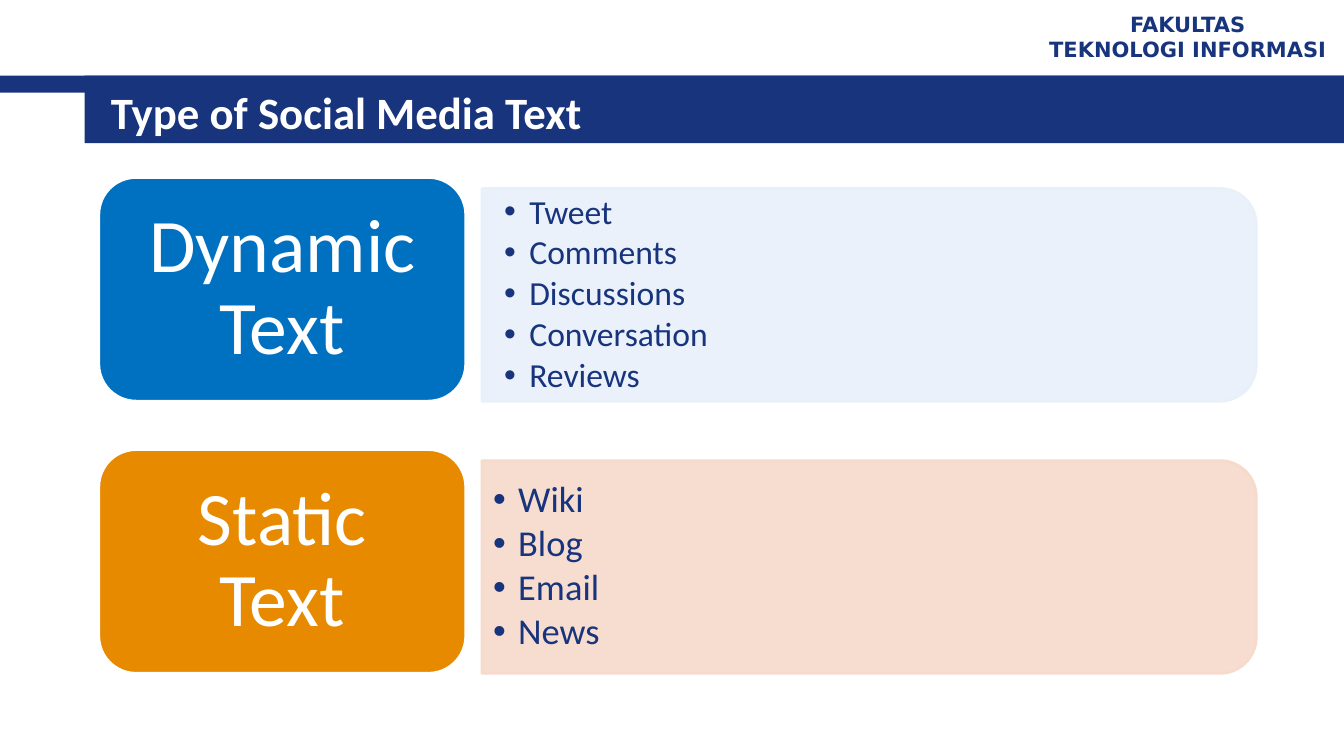
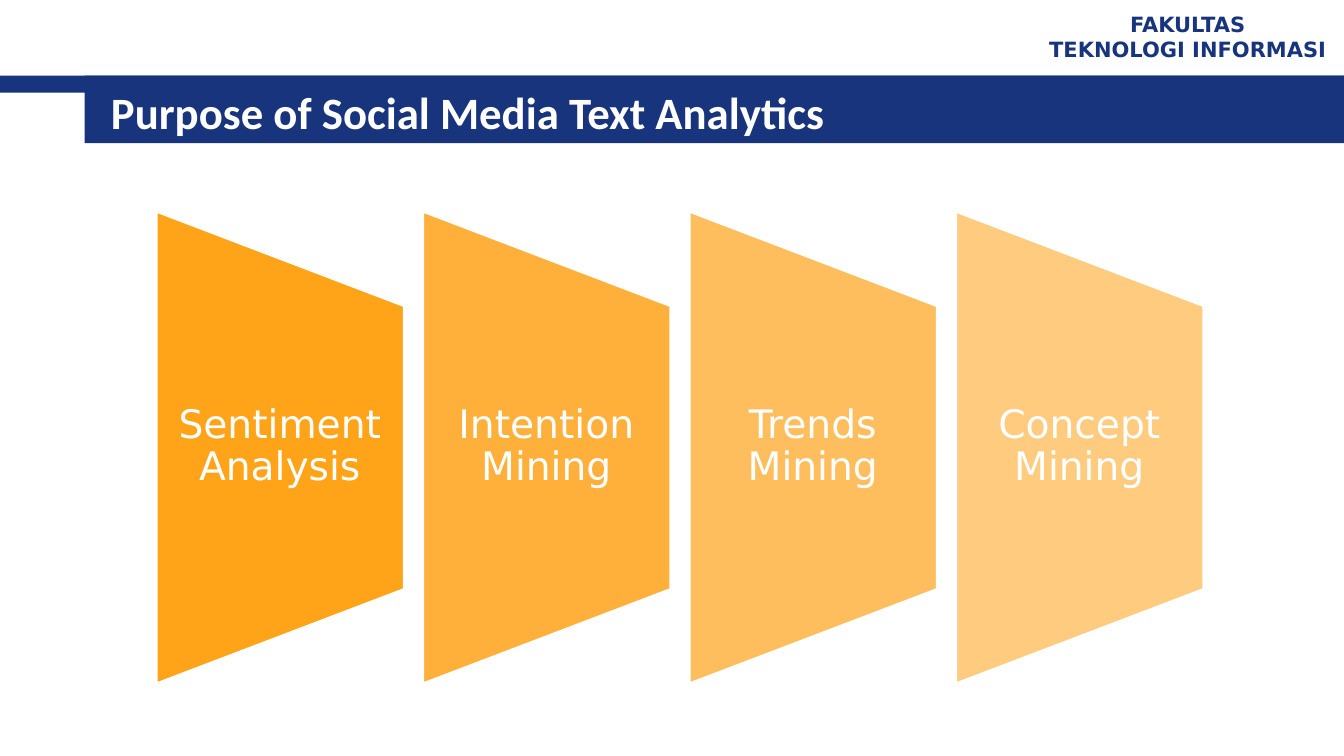
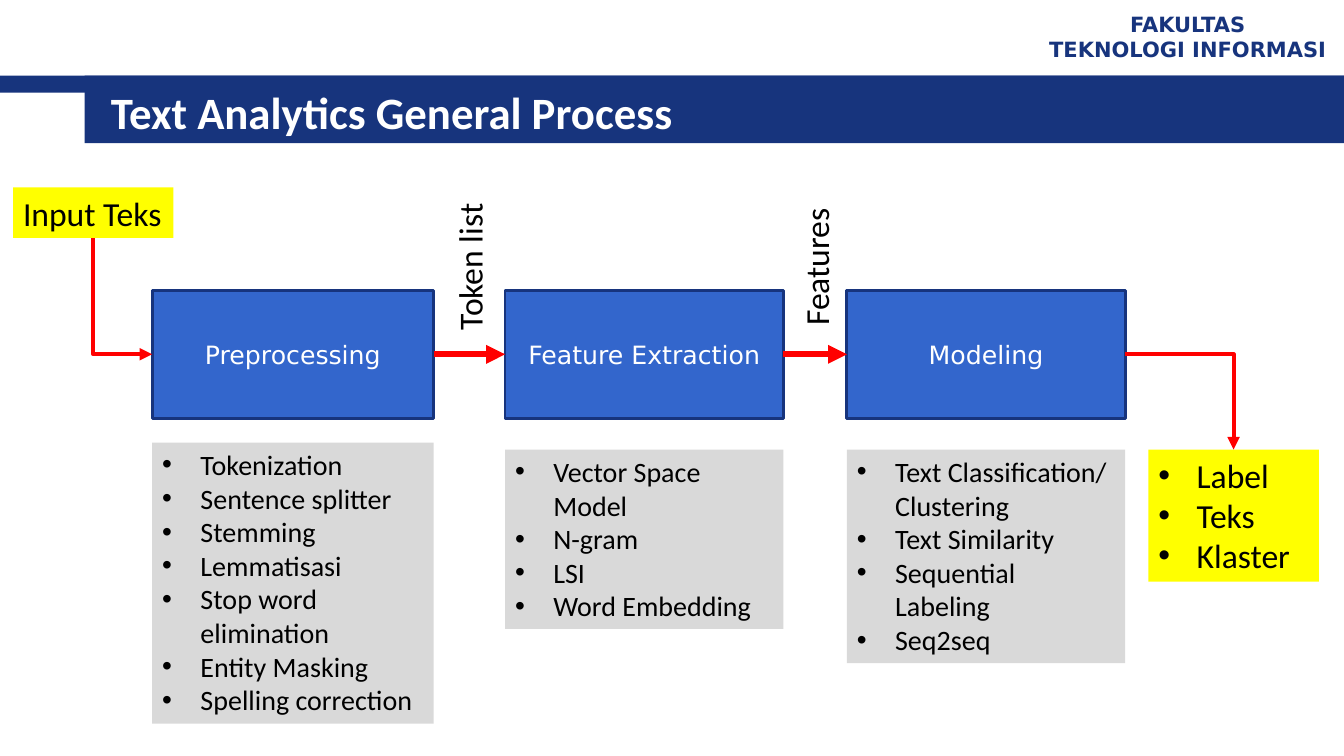
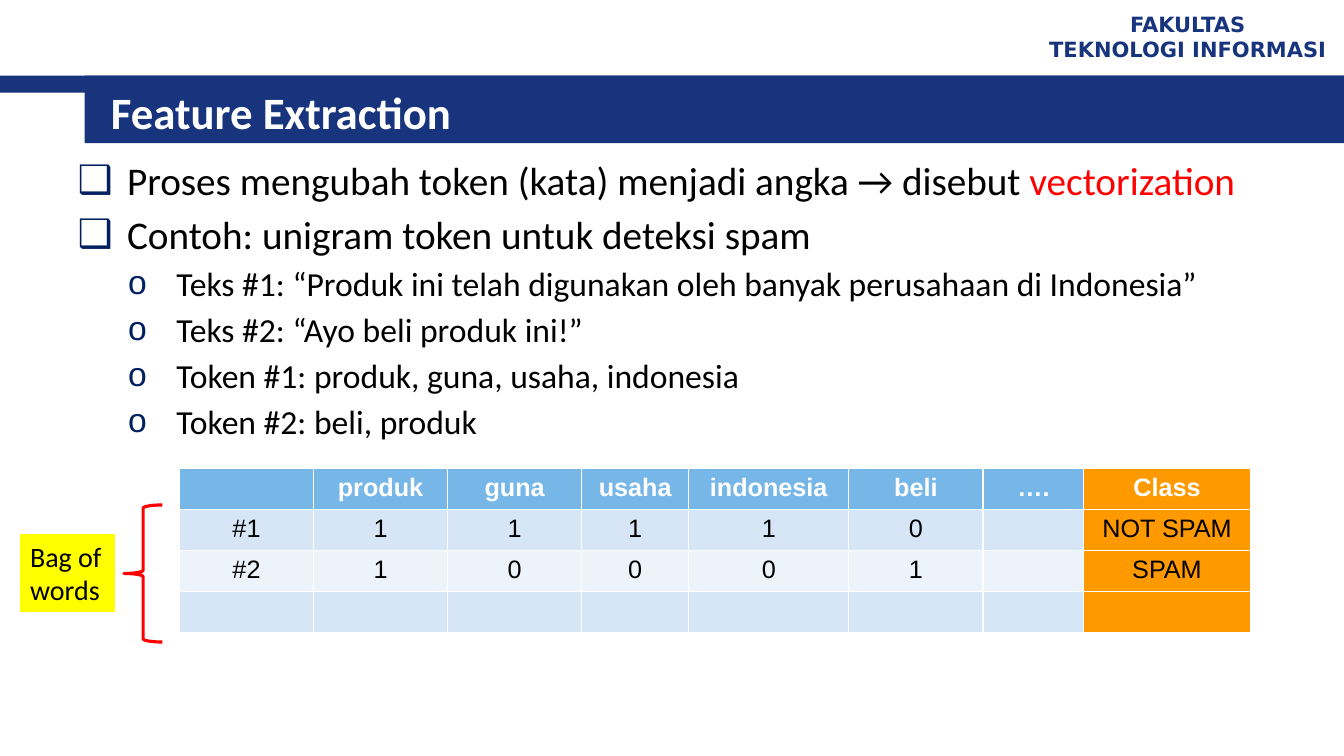
from dataclasses import dataclass, replace
import math

import pptx
import pptx.dml.color
import pptx.enum.shapes
import pptx.enum.text
import pptx.oxml
import pptx.oxml.ns
import pptx.oxml.xmlchemy
import pptx.presentation
import pptx.shapes.autoshape
import pptx.shapes.base
import pptx.shapes.connector
import pptx.slide
import pptx.text.text
import pptx.util

Inches = pptx.util.Inches
Pt = pptx.util.Pt
RGBColor = pptx.dml.color.RGBColor
SHAPE = pptx.enum.shapes.MSO_SHAPE
LINK = pptx.enum.shapes.MSO_CONNECTOR
ALIGN = pptx.enum.text.PP_ALIGN
ANCHOR = pptx.enum.text.MSO_ANCHOR

NAVY = RGBColor(0x17, 0x34, 0x7D)
INK = RGBColor(0x00, 0x20, 0x60)
BLUE = RGBColor(0x33, 0x66, 0xCC)
AZURE = RGBColor(0x00, 0x70, 0xC0)
ICE = RGBColor(0xE8, 0xF0, 0xFA)
AMBER = RGBColor(0xE7, 0x8A, 0x00)
PEACH = RGBColor(0xF6, 0xDA, 0xCB)
ORANGE = RGBColor(0xFF, 0x99, 0x00)
YELLOW = RGBColor(0xFF, 0xFF, 0x00)
GREY = RGBColor(0xD9, 0xD9, 0xD9)
RED = RGBColor(0xFF, 0x00, 0x00)
SKY = RGBColor(0x77, 0xB7, 0xE7)
BAND = RGBColor(0xD6, 0xE6, 0xF6)
PALE = RGBColor(0xEC, 0xF3, 0xFA)
WHITE = RGBColor(0xFF, 0xFF, 0xFF)
BLACK = RGBColor(0x00, 0x00, 0x00)

Slide = pptx.slide.Slide
Shape = pptx.shapes.autoshape.Shape
Line = pptx.shapes.connector.Connector
Frame = pptx.text.text.TextFrame


@dataclass(frozen=True)
class Style:
    size: float
    color: RGBColor = BLACK
    font: str = "Calibri"
    bold: bool = False
    align: ALIGN = ALIGN.LEFT
    pitch: float = 1.0
    after: float = 0


@dataclass(frozen=True)
class Box:
    left: float
    top: float
    width: float
    height: float

    def spans(self) -> tuple[int, ...]:
        return tuple(Inches(x) for x in
                     (self.left, self.top, self.width, self.height))


@dataclass(frozen=True)
class Group:
    name: str
    color: RGBColor
    tint: RGBColor
    top: float
    size: float
    pad: float
    items: list[str]


@dataclass(frozen=True)
class Step:
    name: str
    left: float
    width: float
    top: float
    height: float
    items: list[str]


TITLE = Style(32, WHITE, bold=True)
BRAND = Style(15, NAVY, "DejaVu Sans", True, ALIGN.CENTER)
GROUP = Style(54, WHITE, align=ALIGN.CENTER, pitch=0.9)
GOAL = Style(28, WHITE, "DejaVu Sans", align=ALIGN.CENTER, pitch=0.9)
STEP = Style(18, WHITE, "DejaVu Sans", align=ALIGN.CENTER)
LABEL = Style(24)
NOTE = Style(20)
CELL = Style(18, font="Arial", align=ALIGN.CENTER)
HEAD = replace(CELL, color=WHITE, bold=True)

GROUPS = [
    Group("Dynamic Text", AZURE, ICE, 1.76, 24, 0.22,
          ["Tweet", "Comments", "Discussions", "Conversation", "Reviews"]),
    Group("Static Text", AMBER, PEACH, 4.46, 26, 0.11,
          ["Wiki", "Blog", "Email", "News"]),
]
GOALS = {"Sentiment Analysis": 90, "Intention Mining": 77,
         "Trends Mining": 63, "Concept Mining": 50}
STEPS = [
    Step("Preprocessing", 1.51, 2.79, 4.39, 2.79,
         ["Tokenization", "Sentence splitter", "Stemming", "Lemmatisasi",
          "Stop word elimination", "Entity Masking", "Spelling correction"]),
    Step("Feature Extraction", 5.01, 2.76, 4.46, 1.78,
         ["Vector Space Model", "N-gram", "LSI", "Word Embedding"]),
    Step("Modeling", 8.4, 2.76, 4.46, 2.12,
         ["Text Classification/ Clustering", "Text Similarity",
          "Sequential Labeling", "Seq2seq"]),
]
POINTS = [
    (0, "Proses mengubah token (kata) menjadi angka → disebut "),
    (0, "Contoh: unigram token untuk deteksi spam"),
    (1, "Teks #1: “Produk ini telah digunakan oleh banyak perusahaan di Indonesia”"),
    (1, "Teks #2: “Ayo beli produk ini!”"),
    (1, "Token #1: produk, guna, usaha, indonesia"),
    (1, "Token #2: beli, produk"),
]
WIDTHS = [1.33, 1.33, 1.33, 1.06, 1.59, 1.33, 1, 1.65]
ROWS = [
    ["", "produk", "guna", "usaha", "indonesia", "beli", "….", "Class"],
    ["#1", "1", "1", "1", "1", "0", "", "NOT SPAM"],
    ["#2", "1", "0", "0", "0", "1", "", "SPAM"],
    [""] * 8,
]


def add_node(root: pptx.oxml.xmlchemy.BaseOxmlElement, tag: str,
             **values: str) -> pptx.oxml.xmlchemy.BaseOxmlElement:
    node = root.makeelement(pptx.oxml.ns.qn(tag), values)
    root.append(node)
    return node


def format_run(run: pptx.text.text._Run, style: Style) -> None:
    run.font.size = Pt(style.size)
    run.font.name = style.font
    run.font.bold = style.bold
    run.font.color.rgb = style.color


def format_para(para: pptx.text.text._Paragraph, style: Style) -> None:
    para.alignment = style.align
    para.line_spacing = style.pitch
    para.space_after = Pt(style.after)
    for run in para.runs:
        format_run(run, style)


def add_bullet(para: pptx.text.text._Paragraph, mark: str, left: float,
               hang: float, color: RGBColor | None = None) -> None:
    props = para._p.get_or_add_pPr()
    props.set("marL", str(Inches(left)))
    props.set("indent", str(-Inches(hang)))
    if color is not None:
        add_node(add_node(props, "a:buClr"), "a:srgbClr", val=str(color))
    add_node(props, "a:buFont", typeface="Arial")
    add_node(props, "a:buChar", char=mark)


def write(frame: Frame, lines: list[str], style: Style,
          hang: float = 0, wrap: bool = True) -> None:
    """Fill a frame with one paragraph a line, bulleted when hang is given."""
    frame.word_wrap = wrap
    frame.text = "\n".join(lines)
    for para in frame.paragraphs:
        if hang:
            add_bullet(para, "•", hang, hang)
        format_para(para, style)


def set_pads(frame: Frame, left: float, top: float, right: float) -> None:
    frame.margin_left, frame.margin_right = Inches(left), Inches(right)
    frame.margin_top = frame.margin_bottom = Inches(top)


def paint(shape: Shape, fill: RGBColor, edge: RGBColor | None = None,
          alpha: int = 100) -> None:
    shape.shadow.inherit = False
    shape.fill.solid()
    shape.fill.fore_color.rgb = fill
    if alpha < 100:
        color = shape.element.spPr.find(pptx.oxml.ns.qn("a:solidFill"))[0]
        add_node(color, "a:alpha", val=str(alpha * 1000))
    if edge is None:
        shape.line.fill.background()
    else:
        shape.line.color.rgb = edge
        shape.line.width = Pt(2)


def add_box(slide: Slide, box: Box, fill: RGBColor,
            edge: RGBColor | None = None, kind: SHAPE = SHAPE.RECTANGLE,
            alpha: int = 100) -> Shape:
    shape = slide.shapes.add_shape(kind, *box.spans())
    paint(shape, fill, edge, alpha)
    shape.text_frame.vertical_anchor = ANCHOR.TOP
    return shape


def add_label(slide: Slide, box: Box, lines: list[str], style: Style,
              anchor: ANCHOR = ANCHOR.TOP, wrap: bool = True) -> Shape:
    label = slide.shapes.add_textbox(*box.spans())
    label.text_frame.vertical_anchor = anchor
    write(label.text_frame, lines, style, wrap=wrap)
    return label


def link(slide: Slide, start: tuple[Shape, int], end: tuple[Shape, int],
         width: float, tip: str = "a:tailEnd", bent: bool = False) -> Line:
    """Join two shape sides with a red arrow, its tip at the given end."""
    kind = LINK.ELBOW if bent else LINK.STRAIGHT
    line = slide.shapes.add_connector(kind, 0, 0, 0, 0)
    line.begin_connect(*start)
    line.end_connect(*end)
    line.line.color.rgb = RED
    line.line.width = Pt(width)
    if bent:
        line.element.xpath(".//a:prstGeom")[0].set("prst", "bentConnector2")
    add_node(line.line._get_or_add_ln(), tip, type="triangle")
    add_node(line.element.spPr, "a:effectLst")
    return line


def add_panel(slide: Slide, box: Box, bend: float) -> Shape:
    """Draw a panel whose two right corners are round."""
    right, base = box.left + box.width, box.top + box.height
    turns = [math.radians(6 * step) for step in range(16)]
    upper = [(right - bend + bend * math.sin(turn),
              box.top + bend - bend * math.cos(turn)) for turn in turns]
    lower = [(x, box.top + base - y) for x, y in reversed(upper)]
    build = slide.shapes.build_freeform(Inches(box.left), Inches(box.top))
    build.add_line_segments([(Inches(x), Inches(y)) for x, y in
                             [*upper, *lower, (box.left, base)]])
    return build.convert_to_shape()


def brand_master(slide: Slide) -> None:
    """Draw the bands and faculty name, then move them to the master."""
    parts = [
        add_box(slide, Box(0, 0.75, 13.33, 0.17), NAVY),
        add_box(slide, Box(0.84, 0.75, 12.5, 0.67), NAVY),
        add_label(slide, Box(10.23, 0.05, 3.1, 0.62),
                  ["FAKULTAS", "TEKNOLOGI INFORMASI"], BRAND, ANCHOR.MIDDLE),
    ]
    tree = slide.slide_layout.slide_master.shapes.element
    for rank, part in enumerate(parts):
        part.element.xpath(".//p:cNvPr")[0].set("id", str(100 + rank))
        tree.insert(2 + rank, part.element)


def place(shape: pptx.shapes.base.BaseShape, box: Box) -> None:
    shape.left, shape.top, shape.width, shape.height = box.spans()


def add_slide(deck: pptx.presentation.Presentation, title: str,
              layout: int = 5) -> Slide:
    slide = deck.slides.add_slide(deck.slide_layouts[layout])
    head = slide.shapes.title
    place(head, Box(1, 0.8, 11.89, 0.62))
    write(head.text_frame, [title], TITLE)
    head.text_frame.auto_size = pptx.enum.text.MSO_AUTO_SIZE.NONE
    head.text_frame.vertical_anchor = ANCHOR.MIDDLE
    return slide


def draw_types(slide: Slide) -> None:
    for group in GROUPS:
        panel = add_panel(slide, Box(4.78, group.top + 0.11, 7.68, 2.11), 0.36)
        paint(panel, group.tint, group.tint, 90)
        frame = panel.text_frame
        frame.vertical_anchor = ANCHOR.MIDDLE
        set_pads(frame, group.pad, 0.16, group.pad + 0.1)
        style = Style(group.size, NAVY, pitch=0.9, after=3.3)
        write(frame, group.items, style, 0.25)
        card = add_box(slide, Box(0.98, group.top, 3.64, 2.22), group.color,
                       WHITE, SHAPE.ROUNDED_RECTANGLE)
        card.text_frame.vertical_anchor = ANCHOR.MIDDLE
        set_pads(card.text_frame, 0.29, 0.15, 0.29)
        write(card.text_frame, [group.name], GROUP)


def draw_goals(slide: Slide) -> None:
    wide, tall, mid = 2.46, 4.69, 4.44
    for rank, (name, alpha) in enumerate(GOALS.items()):
        left = 1.55 + 2.643 * rank
        turned = Box(left + (wide - tall) / 2, mid - wide / 2, tall, wide)
        shape = add_box(slide, turned, ORANGE, WHITE,
                        SHAPE.FLOWCHART_MANUAL_OPERATION, alpha)
        shape.rotation = 270
        label = add_label(slide, Box(left, 3.03, wide, 2.81), [name], GOAL,
                          ANCHOR.MIDDLE)
        set_pads(label.text_frame, 0.19, 0, 0.2)


def draw_process(slide: Slide) -> None:
    blocks = []
    for step in STEPS:
        block = add_box(slide, Box(step.left, 2.88, step.width, 1.27),
                        BLUE, NAVY)
        block.text_frame.vertical_anchor = ANCHOR.MIDDLE
        write(block.text_frame, [step.name], STEP)
        blocks.append(block)
        tasks = add_box(slide, Box(step.left, step.top, step.width,
                                   step.height), GREY)
        write(tasks.text_frame, step.items, NOTE, 0.38)
    source = add_box(slide, Box(0.13, 1.86, 1.59, 0.5), YELLOW)
    write(source.text_frame, ["Input Teks"], LABEL, wrap=False)
    result = add_box(slide, Box(11.39, 4.46, 1.69, 1.31), YELLOW)
    write(result.text_frame, ["Label", "Teks", "Klaster"], LABEL, 0.38)
    for start, end in zip(blocks, blocks[1:]):
        link(slide, (start, 3), (end, 1), 4.5)
    link(slide, (blocks[0], 1), (source, 2), 3, "a:headEnd", True)
    link(slide, (blocks[-1], 3), (result, 0), 3, bent=True)
    for name, left, width in (("Token list", 3.92, 1.47),
                              ("Features", 7.4, 1.38)):
        label = add_label(slide, Box(left, 2.39, width, 0.5), [name], LABEL,
                          wrap=False)
        label.rotation = 270


def draw_points(slide: Slide) -> None:
    body = slide.placeholders[1]
    place(body, Box(0.67, 1.5, 12, 5.42))
    frame = body.text_frame
    frame.auto_size = pptx.enum.text.MSO_AUTO_SIZE.NONE
    frame.text = "\n".join(text for _, text in POINTS)
    for rank, (para, (level, _)) in enumerate(zip(frame.paragraphs, POINTS)):
        size = 24 if level else 28
        para.level = level
        add_bullet(para, "o" if level else "❑", 0.98 if level else 0.49,
                   0.48 if level else 0.49, INK)
        format_para(para, Style(size, align=ALIGN.JUSTIFY))
        para.space_before = Pt(size * 0.17 if rank else 0)
    term = frame.paragraphs[0].add_run()
    term.text = "vectorization"
    format_run(term, Style(28, RED))


def draw_table(slide: Slide) -> None:
    box = Box(1.78, 4.65, sum(WIDTHS), 0.405 * len(ROWS))
    table = slide.shapes.add_table(len(ROWS), len(WIDTHS), *box.spans()).table
    for column, width in zip(table.columns, WIDTHS):
        column.width = Inches(width)
    fills = [SKY, BAND, PALE, BAND]
    for row, (texts, fill) in enumerate(zip(ROWS, fills)):
        for col, text in enumerate(texts):
            cell = table.cell(row, col)
            cell.fill.solid()
            last = col == len(WIDTHS) - 1
            cell.fill.fore_color.rgb = ORANGE if last else fill
            cell.text = text
            format_para(cell.text_frame.paragraphs[0], CELL if row else HEAD)


def draw_words(slide: Slide) -> None:
    brace = slide.shapes.add_shape(SHAPE.LEFT_BRACE,
                                   *Box(1.23, 5.01, 0.38, 1.36).spans())
    brace.shadow.inherit = False
    brace.fill.background()
    brace.line.color.rgb = RED
    brace.line.width = Pt(2.25)
    note = add_box(slide, Box(0.2, 5.3, 0.94, 0.77), YELLOW)
    write(note.text_frame, ["Bag of words"], NOTE)


def main() -> None:
    deck = pptx.Presentation()
    deck.slide_width, deck.slide_height = Inches(13.33), Inches(7.5)
    types = add_slide(deck, "Type of Social Media Text")
    brand_master(types)
    draw_types(types)
    draw_goals(add_slide(deck, "Purpose of Social Media Text Analytics"))
    draw_process(add_slide(deck, "Text Analytics General Process"))
    feature = add_slide(deck, "Feature Extraction", 1)
    draw_points(feature)
    draw_table(feature)
    draw_words(feature)
    deck.save("out.pptx")


if __name__ == "__main__":
    main()
